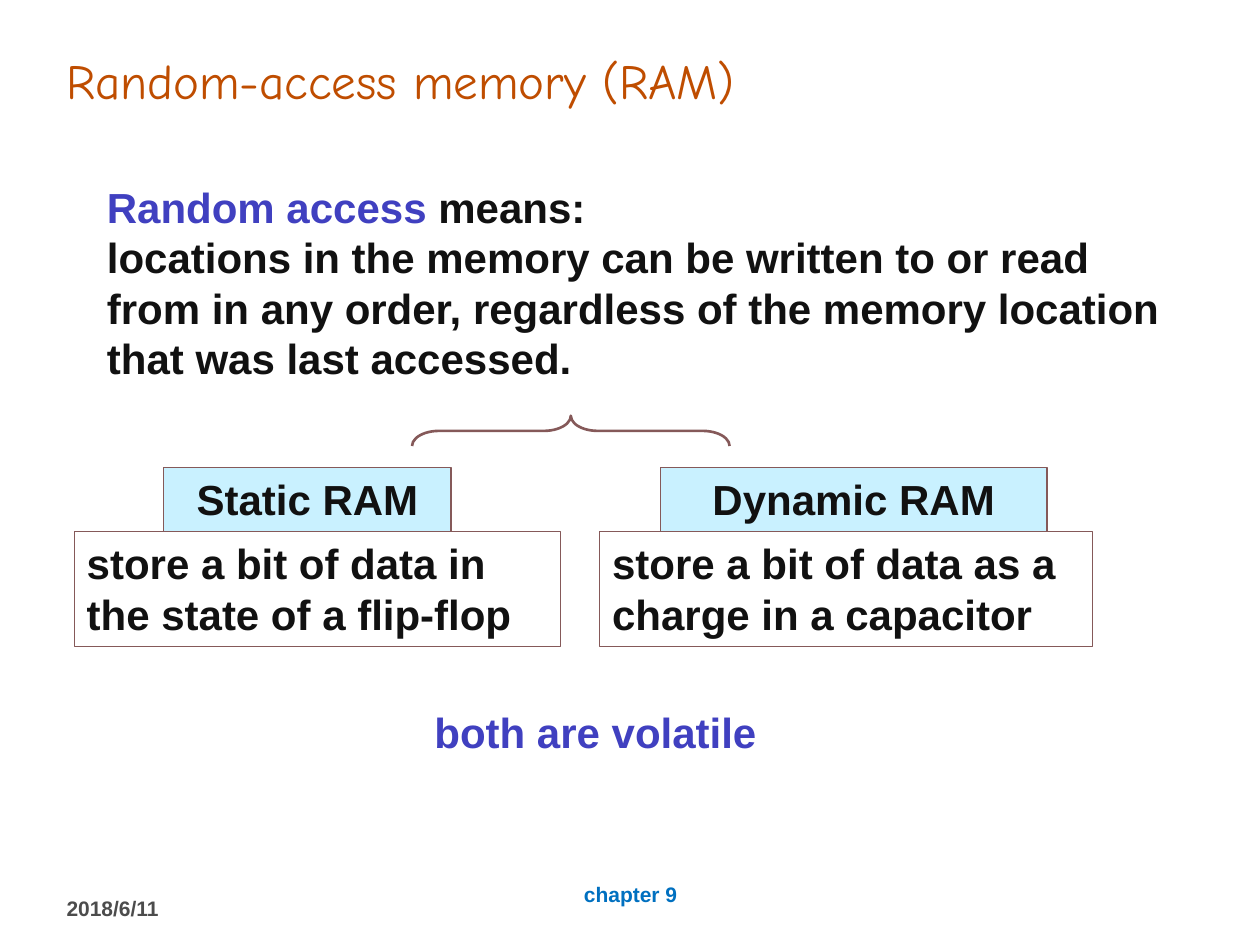
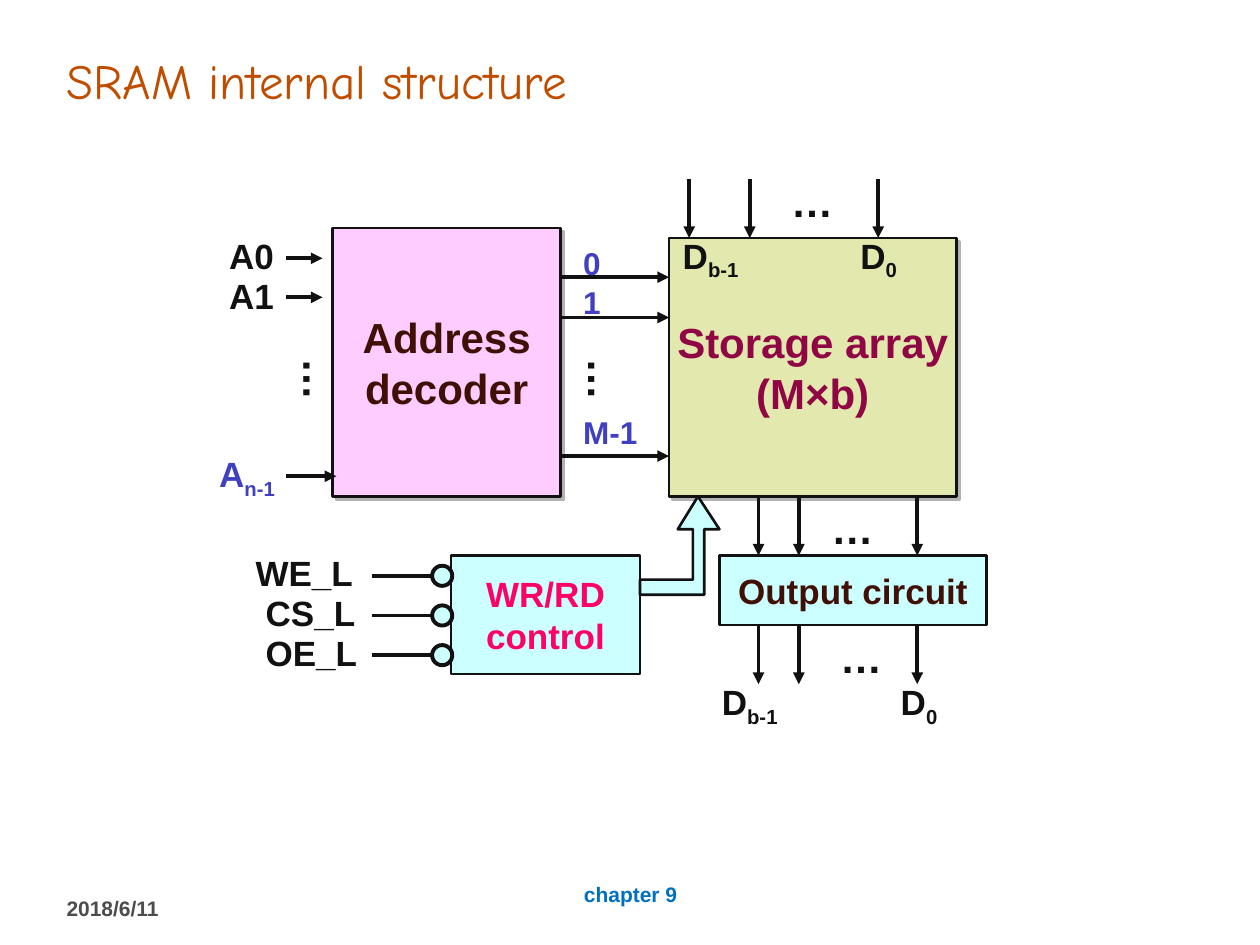
from lxml import etree
from pptx import Presentation
from pptx import util as u
from pptx.dml.color import RGBColor
from pptx.enum import shapes, text
from pptx.oxml.ns import qn

COLUMNS, ROWS = 100, 75
COLOURS = {
    "title": "BF4D00", "date": "4C4C4C", "chapter": "0070C0",
    "ink": "111111", "accent": "4040C0", "frame": "855959",
    "heading": "C9F1FF", "decoder": "FFCCFF", "array": "E2E8AE",
    "logic": "CCFFFF", "brown": "401006", "wine": "900644",
    "pink": "FF0066", "shadow": "B2B2B2",
}
LABEL = {"size": u.Pt(20), "bold": True, "name": "Arial"}
BODY = {**LABEL, "size": u.Pt(24)}
INDEX = {**LABEL, "size": u.Pt(18)}
FOOTER = {**LABEL, "size": u.Pt(12)}
TITLE = {"size": u.Pt(28), "bold": False, "name": "Comic Neue"}
CENTRE = text.PP_ALIGN.CENTER
MIDDLE = text.MSO_ANCHOR.MIDDLE
RECT = shapes.MSO_SHAPE.RECTANGLE


def rgb(name):
    return RGBColor.from_string(COLOURS[name])


class Deck:
    """Holds the slide grid, the shared style and the current slide."""

    def __init__(self):
        self.file = Presentation()
        self.file.slide_width, self.file.slide_height = u.Inches(10), u.Inches(7.5)
        self.cell_width = self.file.slide_width / COLUMNS
        self.cell_height = self.file.slide_height / ROWS

    def across(self, columns):
        return u.Emu(round(columns * self.cell_width))

    def down(self, rows):
        return u.Emu(round(rows * self.cell_height))

    def place(self, left, top, width, height):
        return self.across(left), self.down(top), self.across(width), self.down(height)

    def start(self, title):
        self.slide = self.file.slides.add_slide(self.file.slide_layouts[6])
        self.label((4.3, 2.8, 91.4, 7.1), title, "title", TITLE, anchor=MIDDLE)
        self.label((4.3, 70.6, 23.3, 2.9), "2018/6/11", "date", FOOTER, anchor=MIDDLE)
        self.label((34.2, 68.5, 31.7, 5), "chapter 9", "chapter", FOOTER, CENTRE, MIDDLE)

    def put_text(self, holder, words, colour, style, align=None, anchor=None, wrap=True):
        """Fill a shape: a list gives paragraphs, a list of (text, colour) gives
        runs, and what follows a bar is set as a subscript."""
        frame = holder.text_frame
        frame.word_wrap = wrap
        frame.vertical_anchor = anchor or text.MSO_ANCHOR.TOP
        for number, line in enumerate(words if isinstance(words, list) else [words]):
            paragraph = frame.add_paragraph() if number else frame.paragraphs[0]
            paragraph.alignment = align or text.PP_ALIGN.LEFT
            for piece, tint in [(line, colour)] if isinstance(line, str) else line:
                base, _, subscript = piece.partition("|")
                self.put_run(paragraph, base, tint, style)
                if subscript:
                    low = self.put_run(paragraph, subscript, tint, style)
                    low.font._element.set("baseline", "-25000")

    def put_run(self, paragraph, words, colour, style):
        run = paragraph.add_run()
        run.text = words
        for name, value in style.items():
            setattr(run.font, name, value)
        run.font.color.rgb = rgb(colour)
        return run

    def label(self, area, words, colour="ink", style=LABEL, align=None, anchor=None,
              wrap=True):
        holder = self.slide.shapes.add_textbox(*self.place(*area))
        self.put_text(holder, words, colour, style, align, anchor, wrap)
        return holder

    def dots(self, left, top, upright=False):
        size = (6, 6.3) if upright else (6.3, 5)
        holder = self.label((left, top, *size), "…", style=BODY)
        if upright:
            holder.element.txBody.bodyPr.set("vert", "eaVert")

    def paint(self, shape, fill, line, weight):
        shape.shadow.inherit = False
        if fill:
            shape.fill.solid()
            shape.fill.fore_color.rgb = rgb(fill)
        else:
            shape.fill.background()
        shape.line.color.rgb = rgb(line)
        shape.line.width = u.Pt(weight)
        return shape

    def shape(self, area, fill=None, line="ink", weight=1.5, kind=RECT):
        drawn = self.slide.shapes.add_shape(kind, *self.place(*area))
        return self.paint(drawn, fill, line, weight)

    def block(self, area, fill, words, colour, style=BODY, wrap=False, raised=False):
        drawn = self.shape(area, fill)
        self.put_text(drawn, words, colour, style, CENTRE, MIDDLE, wrap)
        if raised:
            effects = drawn.element.spPr.find(qn("a:effectLst"))
            cast = etree.SubElement(effects, qn("a:outerShdw"), blurRad="0",
                                    dist=str(u.Pt(2.8)), dir="2700000", algn="ctr")
            etree.SubElement(cast, qn("a:srgbClr"), val=COLOURS["shadow"])

    def outline(self, corners, fill):
        points = [(self.across(x), self.down(y)) for x, y in corners]
        builder = self.slide.shapes.build_freeform(*points[0])
        builder.add_line_segments(points[1:], close=True)
        self.paint(builder.convert_to_shape(), fill, "ink", 1.5)

    def wire(self, x1, y1, x2, y2, arrow=True):
        wire = self.slide.shapes.add_connector(
            shapes.MSO_CONNECTOR.STRAIGHT, self.across(x1), self.down(y1),
            self.across(x2), self.down(y2))
        wire.line.color.rgb = rgb("ink")
        wire.line.width = u.Pt(2.25)
        properties = wire.element.spPr
        if arrow:
            etree.SubElement(properties.find(qn("a:ln")), qn("a:tailEnd"), type="triangle")
        etree.SubElement(properties, qn("a:effectLst"))


def ram_kinds(deck):
    deck.start("Random-access memory (RAM)")
    deck.label((7.5, 13.9, 85.9, 17), [
        [("Random access", "accent"), (" means:", "ink")],
        "locations in the memory can be written to or read from in any order, "
        "regardless of the memory location that was last accessed."], style=BODY)
    brace = deck.shape((44.1, 21.6, 2.4, 25.2), line="frame",
                       kind=shapes.MSO_SHAPE.LEFT_BRACE)
    brace.rotation = 90
    brace.adjustments[0] = 0.89
    kinds = [
        ("Static RAM", 13, 22.8,
         "store a bit of data in the state of a flip-flop", 5.9, 38.6),
        ("Dynamic RAM", 52.4, 30.7,
         "store a bit of data as a charge in a capacitor", 47.6, 39.1),
    ]
    for name, name_left, name_width, storage, left, width in kinds:
        heading = deck.shape((name_left, 37.1, name_width, 5.1), "heading", "frame", 0.75)
        deck.put_text(heading, name, "ink", BODY, CENTRE)
        detail = deck.shape((left, 42.2, width, 9.1), None, "frame", 0.75)
        deck.put_text(detail, storage, "ink", BODY)
    deck.label((33.5, 55.6, 27.6, 5), "both are volatile", "accent", BODY, wrap=False)


def sram_structure(deck):
    deck.start("SRAM internal structure")
    deck.block((26.4, 18.1, 18.1, 21.3), "decoder", "Address decoder", "brown",
               wrap=True, raised=True)
    deck.block((53.1, 18.9, 22.8, 20.5), "array", ["Storage array", "(M×b)"], "wine",
               raised=True)
    deck.block((57.1, 44.1, 21.2, 5.5), "logic", "Output circuit", "brown", LABEL)
    deck.block((35.8, 44.1, 15, 9.4), "logic", ["WR/RD", "control"], "pink", LABEL)

    addresses = [("A0", 17.2, 18.1, "ink", 20.5, 25.6),
                 ("A1", 17.2, 21.3, "ink", 23.6, 25.6),
                 ("A|n-1", 16.4, 35.4, "accent", 37.8, 26.7)]
    for address, left, top, colour, wire_row, tip in addresses:
        deck.label((left, top, 6.8, 4.3), address, colour)
        deck.wire(22.7, wire_row, tip, wire_row)

    for word, top, wire_row in [("0", 18.9, 22), ("1", 22, 25.2), ("M-1", 32.3, 36.2)]:
        deck.wire(44.5, wire_row, 53.1, wire_row)
        deck.label((45.3, top, 6.3, 4), word, "accent", INDEX)
    for left in (21.9, 44.5):
        deck.dots(left, 27.5, upright=True)

    inputs, outputs = (54.7, 59.5, 69.7), (60.2, 63.4, 72.8)
    for columns, top, dots_left, dots_top in [
            (inputs, 14.2, 61.8, 13.4), (outputs, 39.4, 65, 39.4),
            (outputs, 49.6, 65.7, 49.6)]:
        for column in columns:
            deck.wire(column, top, column, top + 4.7)
        deck.dots(dots_left, dots_top)
    for high_left, low_left, top in [(53.2, 67.3, 18.1), (56.3, 70.5, 53.5)]:
        deck.label((high_left, top, 7.1, 4.3), "D|b-1")
        deck.label((low_left, top, 5.5, 4.3), "D|0")

    for step, (signal, left) in enumerate([("WE_L", 19.3), ("CS_L", 20.1), ("OE_L", 20.1)]):
        row = 45.7 + 3.15 * step
        deck.wire(29.5, row, 34.3, row, arrow=False)
        deck.shape((34.3, row - 0.8, 1.6, 1.6), "logic", weight=2.25,
                   kind=shapes.MSO_SHAPE.OVAL)
        deck.label((left, row - 2.4, 10.2, 4.3), signal)

    deck.outline([(55.4, 39.4), (53.8, 42), (55, 42), (55, 46), (50.8, 46),
                  (50.8, 47.2), (55.9, 47.2), (55.9, 42), (57.1, 42)], "logic")


def main():
    deck = Deck()
    ram_kinds(deck)
    sram_structure(deck)
    deck.file.save("out.pptx")


if __name__ == "__main__":
    main()
